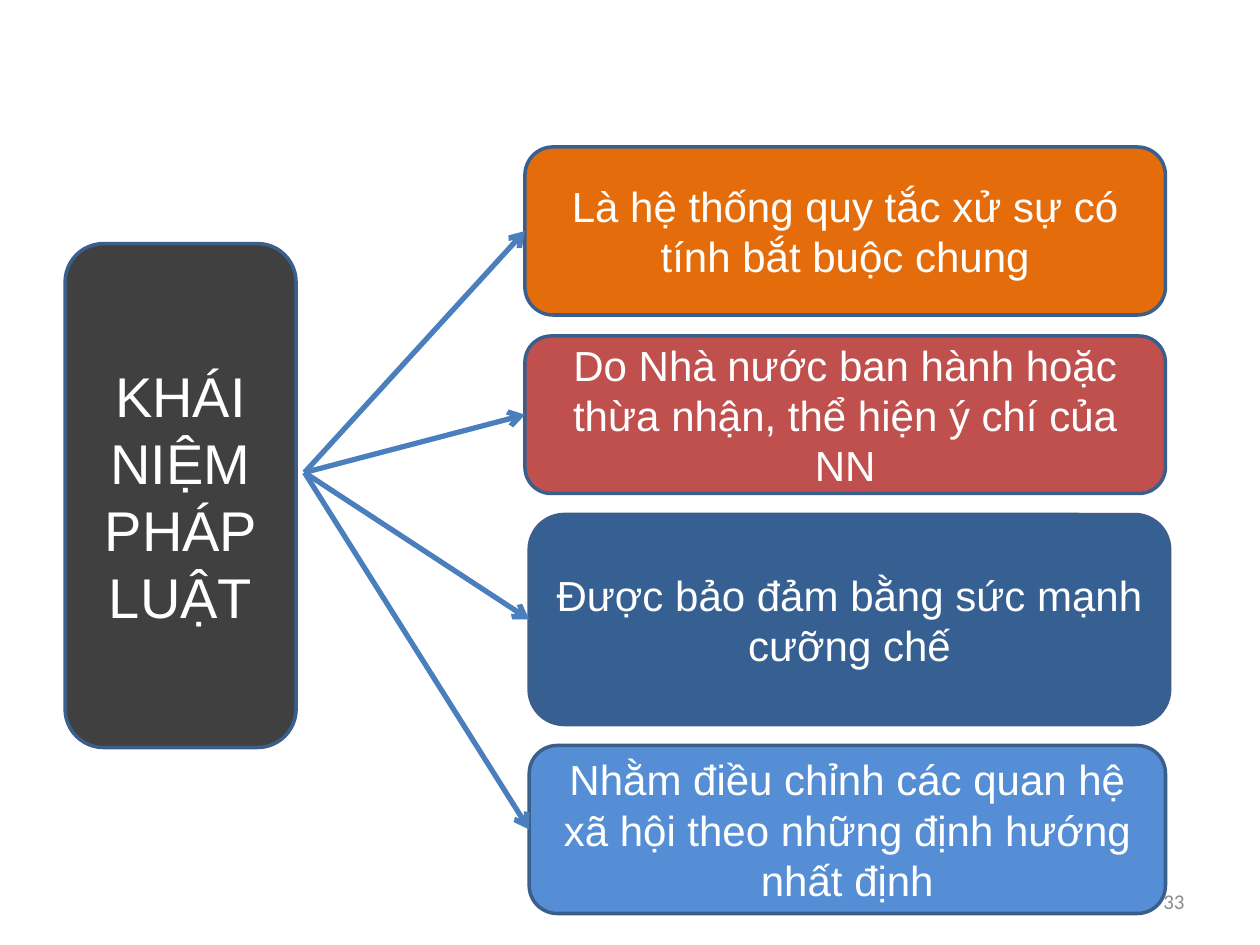
from dataclasses import dataclass

from lxml import etree
from pptx import Presentation
from pptx.dml.color import RGBColor
from pptx.enum.shapes import MSO_CONNECTOR, MSO_SHAPE
from pptx.enum.text import MSO_ANCHOR, PP_ALIGN
from pptx.oxml.ns import qn
from pptx.shapes.autoshape import Shape
from pptx.slide import Slide
from pptx.text.text import TextFrame
from pptx.util import Emu, Pt

ROUNDED = MSO_SHAPE.ROUNDED_RECTANGLE
STRAIGHT = MSO_CONNECTOR.STRAIGHT
MIDDLE = MSO_ANCHOR.MIDDLE
CENTER, RIGHT = PP_ALIGN.CENTER, PP_ALIGN.RIGHT
LEFT_SIDE = 1

WHITE = RGBColor(0xFF, 0xFF, 0xFF)
CHARCOAL = RGBColor(0x40, 0x40, 0x40)
ORANGE = RGBColor(0xE4, 0x6C, 0x0A)
RED = RGBColor(0xC0, 0x50, 0x4D)
NAVY = RGBColor(0x37, 0x60, 0x92)
SKY = RGBColor(0x55, 0x8E, 0xD5)
BORDER = RGBColor(0x3A, 0x5F, 0x8C)
ARROW = RGBColor(0x4B, 0x7E, 0xBC)
GRAY = RGBColor(0x8C, 0x8C, 0x8C)

PX_PER_INCH = 120
FEATURE_TOP = 140
FEATURE_GAP = 20
ARROW_START = (290, 450)


@dataclass(frozen=True)
class Feature:
    text: str
    fill: RGBColor
    left: int
    width: int
    height: int


FEATURES = [
    Feature("Là hệ thống quy tắc xử sự có tính bắt buộc chung", ORANGE, 500, 610, 160),
    Feature("Do Nhà nước ban hành hoặc thừa nhận, thể hiện ý chí của NN", RED, 500, 610, 150),
    Feature("Được bảo đảm bằng sức mạnh cưỡng chế", NAVY, 504, 610, 200),
    Feature("Nhằm điều chỉnh các quan hệ xã hội theo những định hướng nhất định", SKY, 504, 606, 160),
]


def px(n: int) -> Emu:
    return Emu(n * 914400 // PX_PER_INCH)


def write(tf: TextFrame, text: str, font: str, size: int, color: RGBColor, align: PP_ALIGN) -> None:
    tf.text = text
    tf.word_wrap = True
    tf.vertical_anchor = MIDDLE
    for p in tf.paragraphs:
        p.alignment = align
        for r in p.runs:
            r.font.name = font
            r.font.size = Pt(size)
            r.font.color.rgb = color


def add_box(s: Slide, left: int, top: int, width: int, height: int,
            fill: RGBColor, text: str, size: int) -> Shape:
    sp = s.shapes.add_shape(ROUNDED, px(left), px(top), px(width), px(height))
    sp.shadow.inherit = False
    sp.fill.solid()
    sp.fill.fore_color.rgb = fill
    sp.line.color.rgb = BORDER
    sp.line.width = Pt(2)
    write(sp.text_frame, text, "Arial", size, WHITE, CENTER)
    return sp


def add_arrow(s: Slide, target: Shape) -> None:
    x, y = map(px, ARROW_START)
    line = s.shapes.add_connector(STRAIGHT, x, y, target.left, target.top + target.height // 2)
    line.end_connect(target, LEFT_SIDE)
    line.line.color.rgb = ARROW
    line.line.width = Pt(3)
    etree.SubElement(line.line._get_or_add_ln(), qn("a:tailEnd"), type="arrow")
    etree.SubElement(line._element.spPr, qn("a:effectLst"))


def main() -> None:
    prs = Presentation()
    prs.slide_width, prs.slide_height = px(1200), px(900)
    s = prs.slides.add_slide(prs.slide_layouts[6])

    add_box(s, 62, 232, 220, 480, CHARCOAL, "KHÁI NIỆM\nPHÁP LUẬT", 32)

    boxes = []
    top = FEATURE_TOP
    for f in FEATURES:
        boxes.append(add_box(s, f.left, top, f.width, f.height, f.fill, f.text, 24))
        top += f.height + FEATURE_GAP
    for box in boxes:
        add_arrow(s, box)

    number = s.shapes.add_textbox(px(860), px(834), px(280), px(48))
    write(number.text_frame, "33", "Calibri", 12, GRAY, RIGHT)

    prs.save("out.pptx")


if __name__ == "__main__":
    main()
